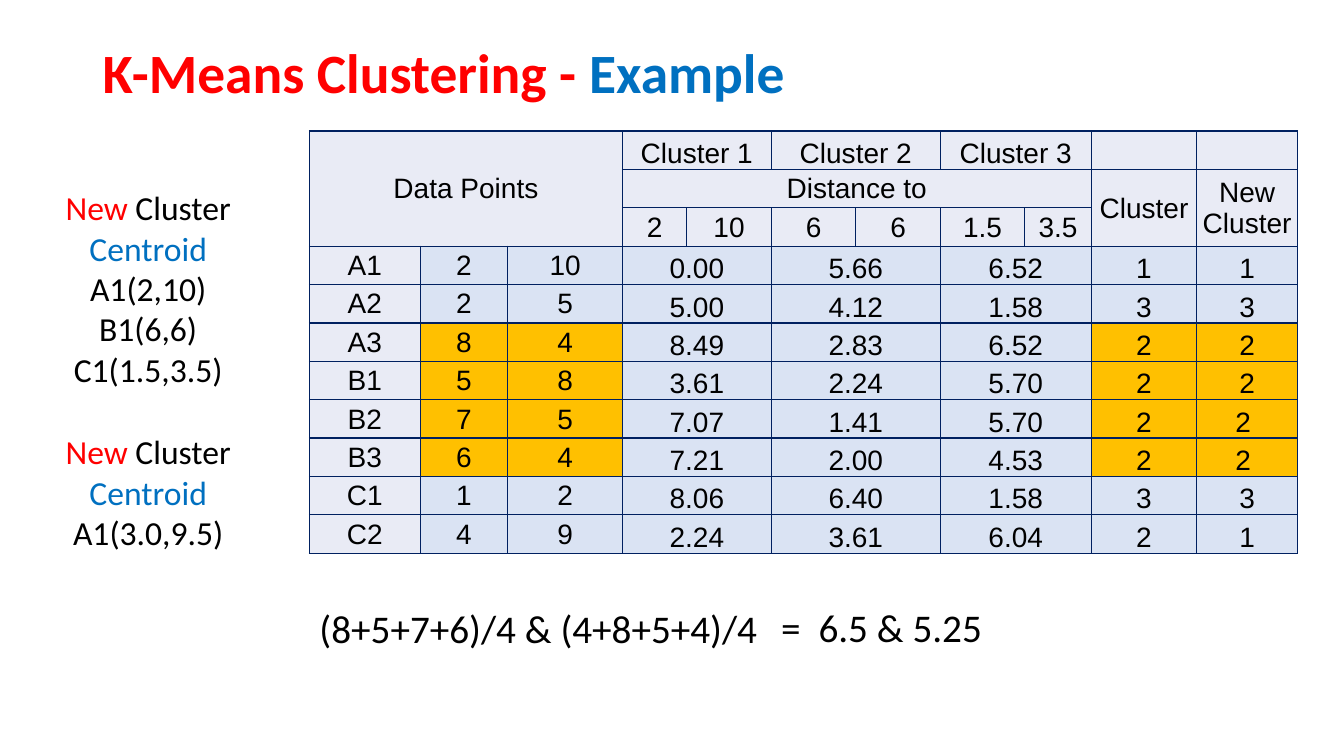
import lxml.etree
import pptx
import pptx.dml.color
import pptx.enum.text
import pptx.oxml.ns
import pptx.util

RED = pptx.dml.color.RGBColor(0xFF, 0x00, 0x00)
BLUE = pptx.dml.color.RGBColor(0x00, 0x70, 0xC0)
BLACK = pptx.dml.color.RGBColor(0x00, 0x00, 0x00)
NAVY = pptx.dml.color.RGBColor(0x00, 0x20, 0x60)
HEADER = pptx.dml.color.RGBColor(0xE9, 0xEB, 0xF5)
BODY = pptx.dml.color.RGBColor(0xDA, 0xE3, 0xF3)
GOLD = pptx.dml.color.RGBColor(0xFF, 0xC0, 0x00)

CENTER = pptx.enum.text.PP_ALIGN.CENTER
LEFT = pptx.enum.text.PP_ALIGN.LEFT
TOP = pptx.enum.text.MSO_ANCHOR.TOP
MIDDLE = pptx.enum.text.MSO_ANCHOR.MIDDLE
BOTTOM = pptx.enum.text.MSO_ANCHOR.BOTTOM
inches = pptx.util.Inches

COLUMNS = [1.1, 0.87, 1.14, 0.64, 0.84, 0.84, 0.84, 0.84, 0.66, 1.05, 1]
HEADINGS = [
    (0, 0, 3, 3, "Data Points", MIDDLE),
    (0, 3, 1, 2, "Cluster 1", BOTTOM),
    (0, 5, 1, 2, "Cluster 2", BOTTOM),
    (0, 7, 1, 2, "Cluster 3", BOTTOM),
    (1, 3, 1, 6, "Distance to", MIDDLE),
    (1, 9, 2, 1, "Cluster", MIDDLE),
    (1, 10, 2, 1, "New Cluster", MIDDLE),
]
CENTROIDS = ["2", "10", "6", "6", "1.5", "3.5"]
POINTS = [
    ["A1", "2", "10", "0.00", "5.66", "6.52", "1", "1"],
    ["A2", "2", "5", "5.00", "4.12", "1.58", "3", "3"],
    ["A3", "8", "4", "8.49", "2.83", "6.52", "2", "2"],
    ["B1", "5", "8", "3.61", "2.24", "5.70", "2", "2"],
    ["B2", "7", "5", "7.07", "1.41", "5.70", "2", "2"],
    ["B3", "6", "4", "7.21", "2.00", "4.53", "2", "2"],
    ["C1", "1", "2", "8.06", "6.40", "1.58", "3", "3"],
    ["C2", "4", "9", "2.24", "3.61", "6.04", "2", "1"],
]
POINT_COLUMNS = [0, 1, 2, 3, 5, 7, 9, 10]
HEADER_ROWS = 3


def apply(target, values):
    for name, value in values.items():
        setattr(target, name, value)


def add_span(para, words, color, size, font="Calibri", bold=False):
    span = para.add_run()
    span.text = words
    apply(span.font, {"name": font, "size": pptx.util.Pt(size), "bold": bold})
    span.font.color.rgb = color


def add_text(page, box, lines, size, align=LEFT, anchor=TOP, bold=False, spacing=1.0):
    frame = page.shapes.add_textbox(*map(inches, box)).text_frame
    apply(frame, {"word_wrap": True, "vertical_anchor": anchor})
    for index, spans in enumerate(lines):
        para = frame.add_paragraph() if index else frame.paragraphs[0]
        apply(para, {"alignment": align, "line_spacing": spacing})
        for words, color in spans:
            add_span(para, words, color, size, bold=bold)
    return frame


def add_centroids(page, box, points):
    heading = [("New", RED), (" Cluster ", BLACK), ("Centroid", BLUE)]
    add_text(page, box, [heading] + [[(point, BLACK)] for point in points], 24, CENTER)


def add_result(page, box, tab):
    frame = add_text(page, box, [[("=\t6.5 & 5.25", BLACK)]], 28)
    qname = pptx.oxml.ns.qn
    properties = frame.paragraphs[0]._p.get_or_add_pPr()
    stops = lxml.etree.SubElement(properties, qname("a:tabLst"))
    lxml.etree.SubElement(stops, qname("a:tab"), pos=str(inches(tab)), algn="l")


def style_cell(cell, color):
    qname = pptx.oxml.ns.qn
    properties = cell._tc.get_or_add_tcPr()
    for side in ("a:lnL", "a:lnR", "a:lnT", "a:lnB"):
        line = lxml.etree.SubElement(properties, qname(side), w=str(pptx.util.Pt(1)))
        fill = lxml.etree.SubElement(line, qname("a:solidFill"))
        lxml.etree.SubElement(fill, qname("a:srgbClr"), val=str(NAVY))
    cell.fill.solid()
    cell.fill.fore_color.rgb = color
    margin = inches(0.01)
    apply(cell, {"margin_left": margin, "margin_right": margin,
                 "margin_top": margin, "margin_bottom": 0})


def write_cell(cell, words, anchor):
    cell.vertical_anchor = anchor
    para = cell.text_frame.paragraphs[0]
    para.alignment = CENTER
    add_span(para, words, BLACK, 20, "Arial")


def cell_color(row, column):
    if row < HEADER_ROWS or column == 0:
        return HEADER
    in_cluster = POINTS[row - HEADER_ROWS][-1] == "2"
    return GOLD if in_cluster and column in (1, 2, 9, 10) else BODY


def add_distances(page, box):
    count = HEADER_ROWS + len(POINTS)
    table = page.shapes.add_table(count, len(COLUMNS), *map(inches, box)).table
    apply(table, {"first_row": False, "horz_banding": False})
    for column, width in zip(table.columns, COLUMNS):
        column.width = inches(box[2] * width / sum(COLUMNS))
    for row in range(count):
        table.rows[row].height = inches(box[3] / count)
        for column in range(len(COLUMNS)):
            style_cell(table.cell(row, column), cell_color(row, column))

    for row, column, tall, wide, words, anchor in HEADINGS:
        cell = table.cell(row, column)
        if tall * wide > 1:
            cell.merge(table.cell(row + tall - 1, column + wide - 1))
        write_cell(cell, words, anchor)
    for column, words in enumerate(CENTROIDS, 3):
        write_cell(table.cell(2, column), words, MIDDLE)

    for row, point in enumerate(POINTS, HEADER_ROWS):
        for column, words in zip(POINT_COLUMNS, point):
            cell = table.cell(row, column)
            if column in (3, 5, 7):
                cell.merge(table.cell(row, column + 1))
            write_cell(cell, words, MIDDLE if column < 3 else BOTTOM)
        if point[0] in ("B2", "B3"):
            table.cell(row, 10).margin_right = inches(0.09)


def build_example(page):
    title = [[("K-Means Clustering - ", RED), ("Example", BLUE)]]
    add_text(page, (0.92, 0.4, 11.5, 0.7), title, 39.6, anchor=MIDDLE, bold=True, spacing=0.9)
    add_distances(page, (3.07, 1.3, 9.8, 4.19))
    add_centroids(page, (0.46, 1.81, 2.02, 2.93), ["A1(2,10)", "B1(6,6)", "C1(1.5,3.5)"])
    add_centroids(page, (0.46, 4.23, 2.02, 2.12), ["A1(3.0,9.5)"])
    add_text(page, (3.07, 5.95, 5.09, 0.57), [[("(8+5+7+6)/4 & (4+8+5+4)/4", BLACK)]], 28)
    add_result(page, (7.65, 5.94, 2.22, 0.57), 0.37)


def main():
    deck = pptx.Presentation()
    apply(deck, {"slide_width": inches(13.33), "slide_height": inches(7.5)})
    build_example(deck.slides.add_slide(deck.slide_layouts[6]))
    deck.save("out.pptx")


if __name__ == "__main__":
    main()
